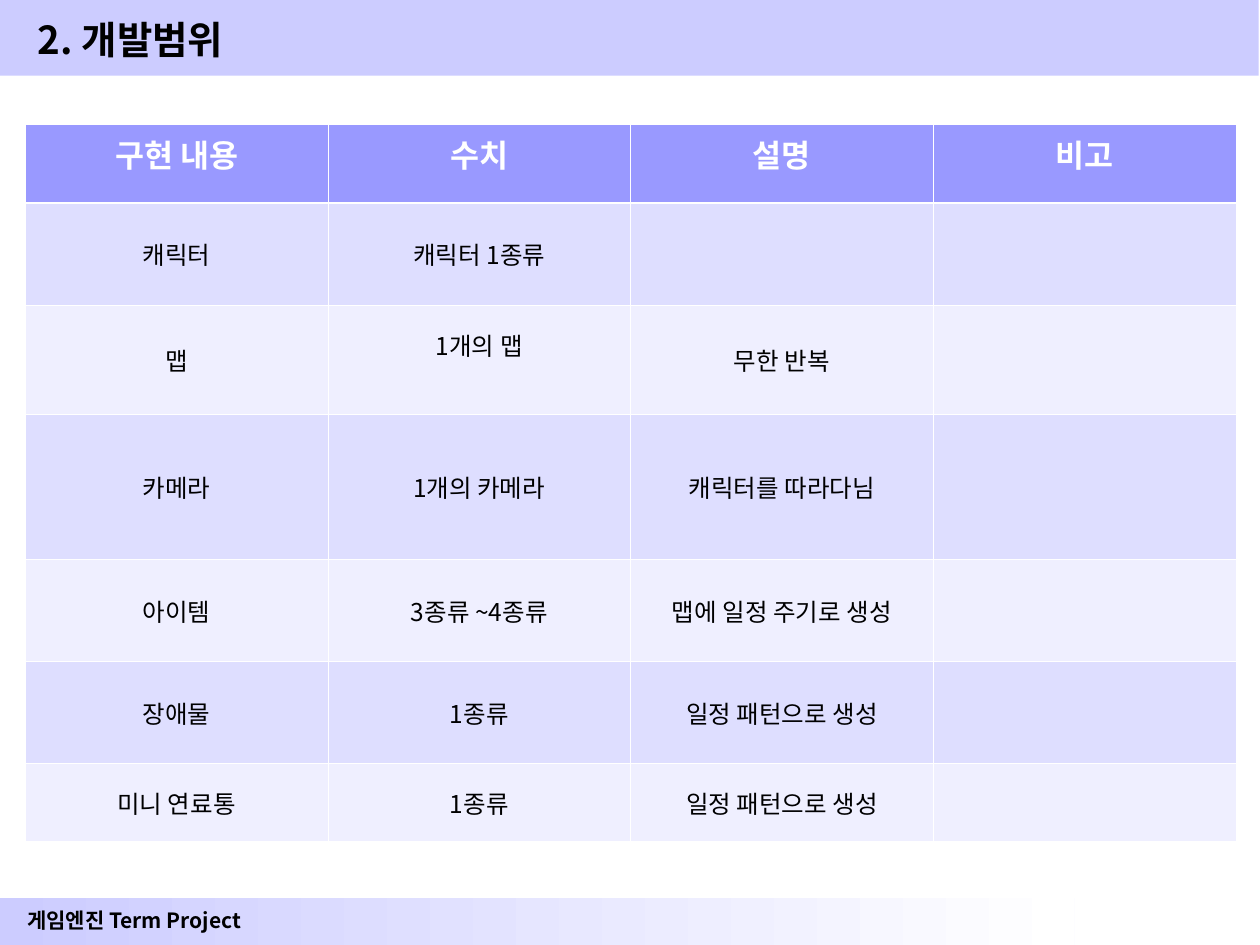
import dataclasses

import lxml.etree
import pptx
import pptx.dml.color
import pptx.enum.shapes
import pptx.enum.text
import pptx.oxml.ns
import pptx.util

Inches = pptx.util.Inches
Pt = pptx.util.Pt
RGBColor = pptx.dml.color.RGBColor
Align = pptx.enum.text.PP_ALIGN
Anchor = pptx.enum.text.MSO_ANCHOR
qn = pptx.oxml.ns.qn

BLACK = RGBColor(0x00, 0x00, 0x00)
WHITE = RGBColor(0xFF, 0xFF, 0xFF)
LILAC = RGBColor(0xCC, 0xCC, 0xFF)
HEAD = RGBColor(0x99, 0x99, 0xFF)
BANDS = (RGBColor(0xEF, 0xEF, 0xFF), RGBColor(0xDE, 0xDE, 0xFF))
FONT = "Noto Sans CJK KR"
THIN, THICK = 0.45, 1.47


@dataclasses.dataclass
class Row:
    height: float
    texts: tuple[str, ...]


ROWS = [
    Row(0.62, ("구현 내용", "수치", "설명", "비고")),
    Row(0.81, ("캐릭터", "캐릭터 1종류", "", "")),
    Row(0.87, ("맵", "1개의 맵", "무한 반복", "")),
    Row(1.15, ("카메라", "1개의 카메라", "캐릭터를 따라다님", "")),
    Row(0.81, ("아이템", "3종류 ~4종류", "맵에 일정 주기로 생성", "")),
    Row(0.81, ("장애물", "1종류", "일정 패턴으로 생성", "")),
    Row(0.62, ("미니 연료통", "1종류", "일정 패턴으로 생성", "")),
]
RAISED = (2, 1)  # the one cell whose text sits above the middle


def write(frame, text: str, size: float, color: RGBColor,
          bold: bool, align: Align) -> None:
    frame.text = text
    line = frame.paragraphs[0]
    line.alignment = align
    for run in line.runs:
        font = run.font
        font.name, font.size, font.bold = FONT, Pt(size), bold
        font.color.rgb = color
        east = lxml.etree.SubElement(font._element, qn("a:ea"))
        east.set("typeface", FONT)


def add_bar(slide, left: float, top: float, width: float, height: float):
    bar = slide.shapes.add_shape(
        pptx.enum.shapes.MSO_SHAPE.RECTANGLE,
        Inches(left), Inches(top), Inches(width), Inches(height))
    bar.shadow.inherit = False
    bar.line.fill.background()
    return bar


def add_edge(cell, side: str, width: float) -> None:
    edge = lxml.etree.SubElement(
        cell._tc.get_or_add_tcPr(), qn(f"a:ln{side}"), w=str(Pt(width)))
    fill = lxml.etree.SubElement(edge, qn("a:solidFill"))
    lxml.etree.SubElement(fill, qn("a:srgbClr"), val=str(WHITE))


def fill_cell(cell, text: str, row: int, col: int) -> None:
    is_head = row == 0
    edges = {"L": THIN, "R": THIN,
             "T": THICK if row == 1 else THIN,
             "B": THICK if is_head else THIN}
    for side, width in edges.items():
        add_edge(cell, side, width)
    cell.fill.solid()
    cell.fill.fore_color.rgb = HEAD if is_head else BANDS[row % 2]
    cell.vertical_anchor = Anchor.TOP if is_head else Anchor.MIDDLE
    if (row, col) == RAISED:
        cell.margin_bottom = Inches(0.28)
    if text:
        write(cell.text_frame, text, 18 if is_head else 14,
              WHITE if is_head else BLACK, is_head, Align.CENTER)


def add_grid(slide) -> None:
    height = sum(row.height for row in ROWS)
    count = len(ROWS[0].texts)
    table = slide.shapes.add_table(
        len(ROWS), count, Inches(0.2), Inches(0.99),
        Inches(9.61), Inches(height)).table
    for r, row in enumerate(ROWS):
        table.rows[r].height = Inches(row.height)
        for c, text in enumerate(row.texts):
            fill_cell(table.cell(r, c), text, r, c)


def main() -> None:
    deck = pptx.Presentation()
    deck.slide_width, deck.slide_height = Inches(10), Inches(7.5)
    slide = deck.slides.add_slide(deck.slide_layouts[5])

    # Footer and header bars
    foot = add_bar(slide, 0, 7.13, 8.53, 0.38)
    foot.fill.gradient()
    foot.fill.gradient_angle = 0
    for stop, color in zip(foot.fill.gradient_stops, (LILAC, WHITE)):
        stop.color.rgb = color
    top = add_bar(slide, 0, 0, 9.99, 0.6)
    top.fill.solid()
    top.fill.fore_color.rgb = LILAC

    # Footer label
    label = slide.shapes.add_textbox(
        Inches(0.04), Inches(7.15), Inches(2.05), Inches(0.3))
    label.text_frame.word_wrap = True
    write(label.text_frame, "게임엔진 Term Project", 12, BLACK, True,
          Align.CENTER)

    # Title, brought in front of the header bar
    title = slide.shapes.title
    title.left, title.top = Inches(0.2), Inches(0.05)
    title.width, title.height = Inches(9.69), Inches(0.52)
    title.text_frame.auto_size = pptx.enum.text.MSO_AUTO_SIZE.NONE
    title.text_frame.vertical_anchor = Anchor.MIDDLE
    write(title.text_frame, "2. 개발범위", 22, BLACK, True, Align.LEFT)
    label.element.addnext(title.element)

    # Scope table
    add_grid(slide)
    deck.save("out.pptx")


if __name__ == "__main__":
    main()
